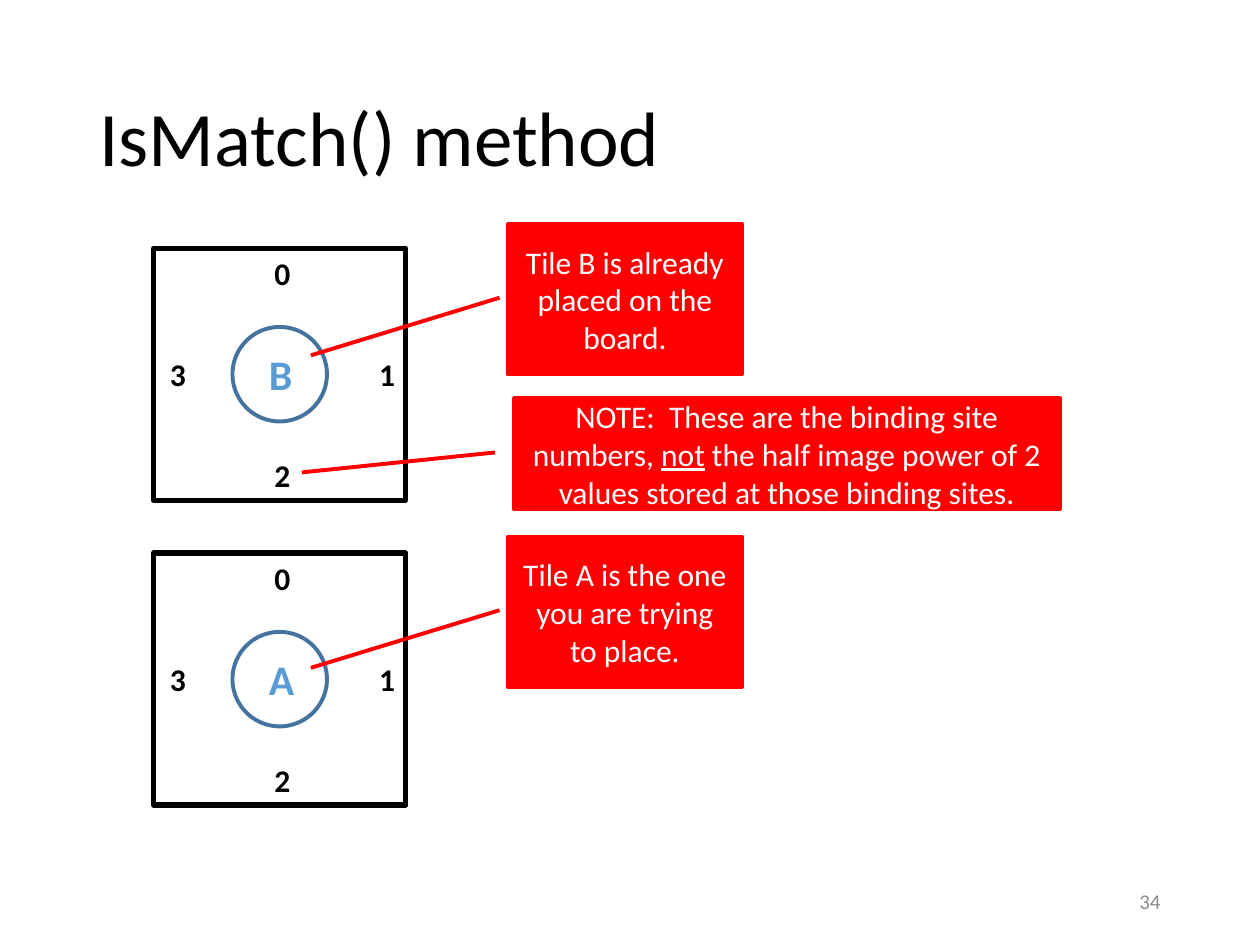
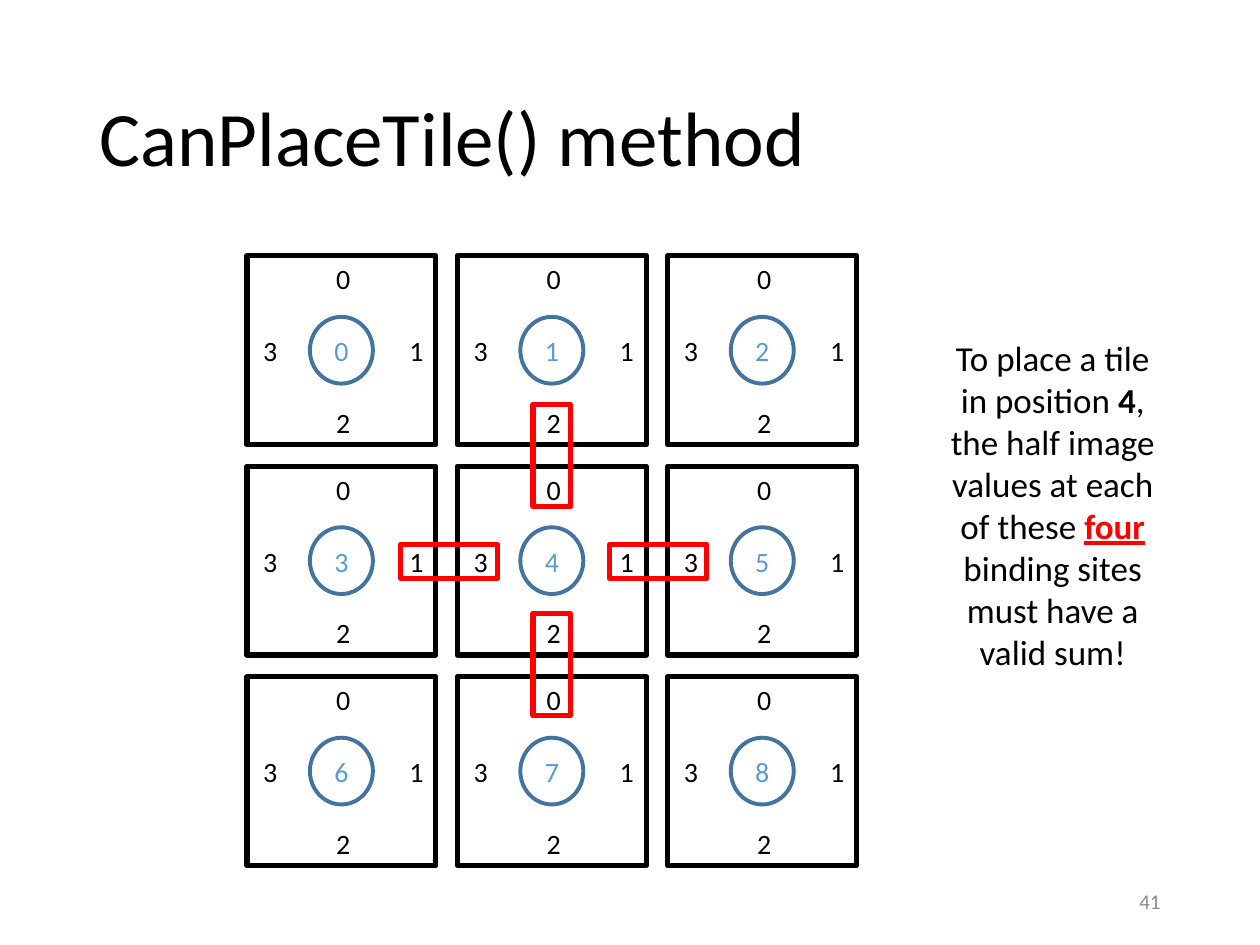
from pptx import Presentation
from pptx.dml.color import RGBColor
from pptx.enum.shapes import MSO_SHAPE as Kind
from pptx.enum.text import MSO_ANCHOR as Anchor, MSO_AUTO_SIZE as Fit, PP_ALIGN as Align
from pptx.util import Inches, Pt

BLACK = RGBColor(0x00, 0x00, 0x00)
WHITE = RGBColor(0xFF, 0xFF, 0xFF)
RED = RGBColor(0xFF, 0x00, 0x00)
GRAY = RGBColor(0x8C, 0x8C, 0x8C)
BLUE = RGBColor(0x5B, 0x9B, 0xD5)
STEEL = RGBColor(0x43, 0x73, 0x9E)
FONT = "Calibri"


def write(shape, *runs, size=18, color=BLACK, bold=False, align=Align.CENTER,
          anchor=Anchor.TOP, spacing=None):
    """Fill a shape with one paragraph; a run is text or (text, font changes)."""
    frame = shape.text_frame
    frame.word_wrap = True
    frame.auto_size = Fit.NONE
    frame.vertical_anchor = anchor
    para = frame.paragraphs[0]
    para.alignment = align
    para.line_spacing = spacing
    for item in runs:
        text, style = (item, {}) if isinstance(item, str) else item
        run = para.add_run()
        run.text = text
        font = run.font
        font.name = FONT
        font.size = Pt(size)
        font.bold = style.get("bold", bold)
        font.underline = style.get("underline", False)
        font.color.rgb = style.get("color", color)


def label(shapes, box, *runs, **style):
    """Add a text box at the given box in inches."""
    write(shapes.add_textbox(*map(Inches, box)), *runs, **style)


def draw(shapes, kind, box, line, width, fill=None):
    """Add a flat preset shape, hollow unless a fill is given."""
    shape = shapes.add_shape(kind, *map(Inches, box))
    shape.shadow.inherit = False
    shape.line.color.rgb = line
    shape.line.width = Pt(width)
    if fill is None:
        shape.fill.background()
    else:
        shape.fill.solid()
        shape.fill.fore_color.rgb = fill
    return shape


def start(deck, title, number):
    """Add a slide with its title and page number."""
    slide = deck.slides.add_slide(deck.slide_layouts[5])
    head = slide.shapes.title
    head.left, head.top, head.width, head.height = map(Inches, (0.69, 0.4, 8.62, 1.45))
    write(head, title, size=44, align=Align.LEFT, anchor=Anchor.MIDDLE, spacing=0.9)
    label(slide.shapes, (7.06, 6.95, 2.25, 0.4), number, size=12, color=GRAY,
          align=Align.RIGHT, anchor=Anchor.MIDDLE)
    return slide


def tile(slide, x, y, name, side, ring, digit, letter, bold):
    """Group a square tile with four site numbers and a ringed name.

    ring is (width, height); digit and letter are (point size, box height).
    """
    shapes = slide.shapes.add_group_shape().shapes
    draw(shapes, Kind.RECTANGLE, (x, y, side, side), BLACK, 3)
    size, high = digit
    wide, edge = 0.28, 0.03
    mid_x, mid_y = (side - wide) / 2, (side - high) / 2
    sites = ((mid_x, 0), (side - wide - edge, mid_y), (mid_x, side - high), (edge, mid_y))
    for site, (dx, dy) in enumerate(sites):
        label(shapes, (x + dx, y + dy, wide, high), str(site), size=size, bold=bold)
    ring_w, ring_h = ring
    draw(shapes, Kind.OVAL,
         (x + (side - ring_w) / 2, y + (side - ring_h) / 2, ring_w, ring_h), STEEL, 2.25)
    size, high = letter
    wide = 0.37
    label(shapes, (x + (side - wide) / 2, y + (side - high) / 2, wide, high), name,
          size=size, color=BLUE, bold=bold)


def callout(slide, box, tip, *runs):
    """Add a red callout whose line ends at tip, given as shares (down, across)."""
    shape = draw(slide.shapes, Kind.LINE_CALLOUT_1, box, RED, 2.25, RED)
    for spot, value in enumerate((0.49, -0.035, *tip)):
        shape.adjustments[spot] = value
    write(shape, *runs, color=WHITE, anchor=Anchor.MIDDLE)


def match(deck):
    """Build the slide that compares two tiles."""
    slide = start(deck, "IsMatch() method", "34")
    for name, y in (("B", 1.97), ("A", 4.39)):
        tile(slide, 1.22, y, name, 2, (0.75, 0.75), (18, 0.4), (24, 0.5), True)
    notes = ((4.26, "Tile A is the one you are trying to place."),
             (1.78, "Tile B is already placed on the board."))
    for y, text in notes:
        callout(slide, (4.03, y, 1.86, 1.19), (0.874, -0.84), text)
    callout(slide, (4.08, 3.16, 4.33, 0.88), (0.67, -0.389),
            "NOTE:  These are the binding site numbers, ",
            ("not", {"underline": True}),
            " the half image power of 2 values stored at those binding sites.")


def place(deck):
    """Build the slide with the board of nine tiles."""
    slide = start(deck, "CanPlaceTile() method", "41")
    left, top, pitch = 1.96, 2.03, 1.67
    for cell in range(9):
        row, col = divmod(cell, 3)
        tile(slide, left + col * pitch, top + row * pitch, str(cell),
             1.5, (0.5, 0.53), (16, 0.36), (16, 0.36), False)
    for step in range(2):
        shift = step * 1.66
        draw(slide.shapes, Kind.RECTANGLE, (4.23, 3.21 + shift, 0.3, 0.81), RED, 3)
        draw(slide.shapes, Kind.RECTANGLE, (3.18 + shift, 4.32, 0.77, 0.27), RED, 3)
    label(slide.shapes, (7.4, 2.62, 1.91, 2.79), "To place a tile in position ",
          ("4", {"bold": True}), ", the half image values at each of these ",
          ("four", {"bold": True, "underline": True, "color": RED}),
          " binding sites must have a valid sum!", size=20)


def main():
    """Build and save the deck."""
    deck = Presentation()
    deck.slide_width, deck.slide_height = Inches(10), Inches(7.5)
    match(deck)
    place(deck)
    deck.save("out.pptx")


if __name__ == "__main__":
    main()
